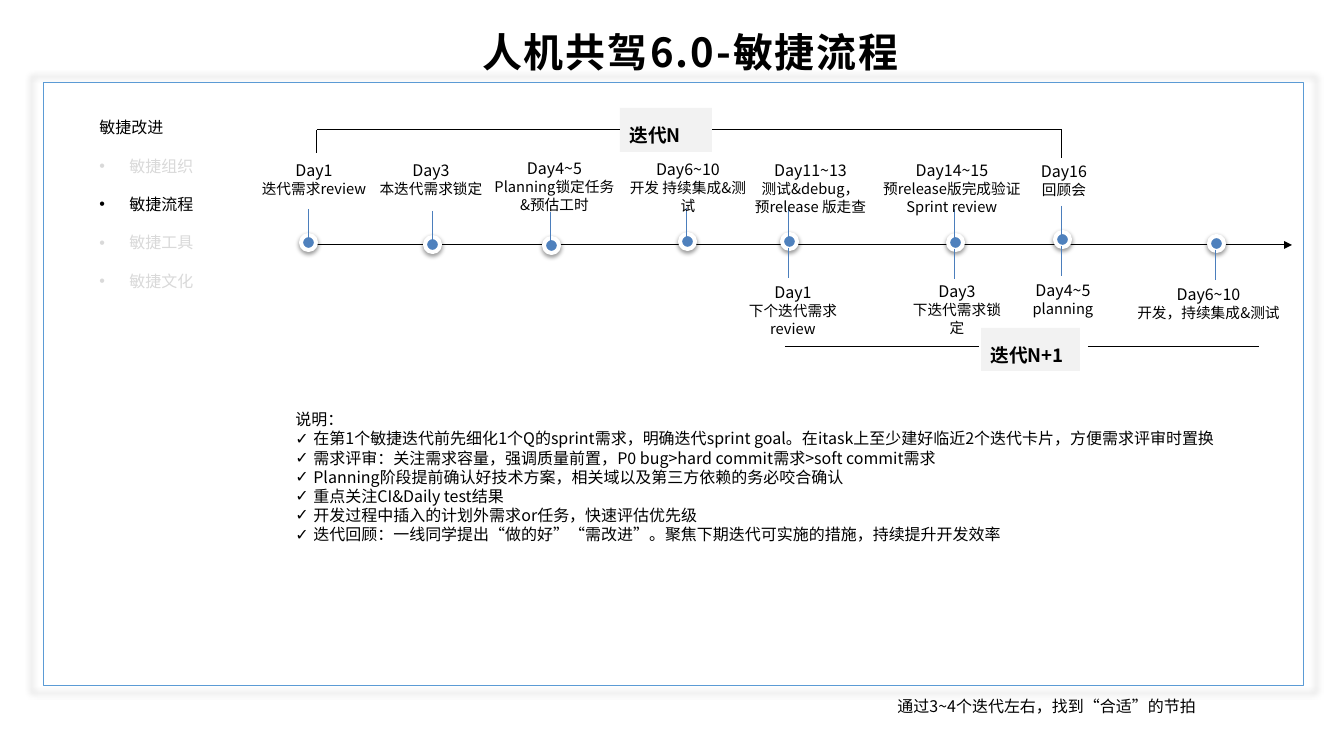
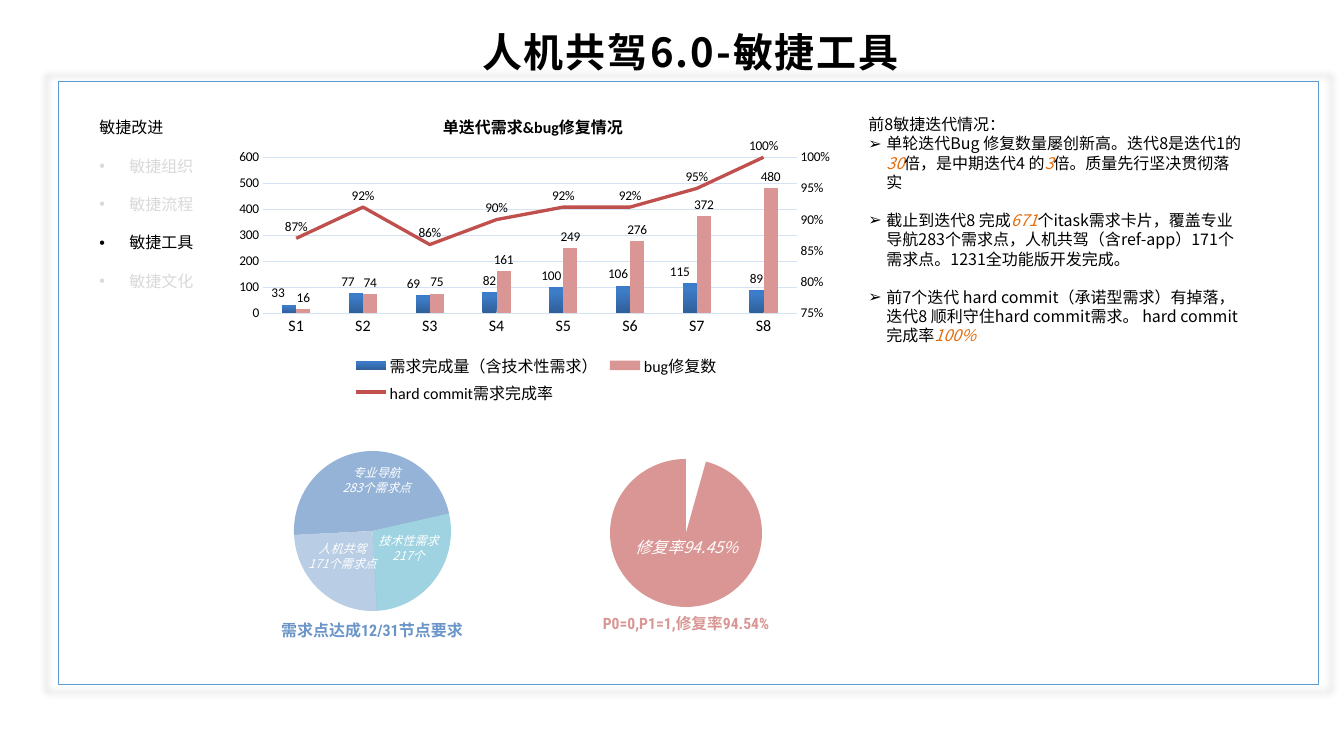
from copy import deepcopy
from dataclasses import dataclass, replace
from typing import NamedTuple

from lxml import etree
from pptx import Presentation
from pptx import util as u
from pptx.chart.data import CategoryChartData
from pptx.dml.color import RGBColor
from pptx.enum import chart as charts, shapes, text
from pptx.oxml import parse_xml
from pptx.oxml.ns import nsdecls, qn

EMU_PER_PX = 9525
COLORS = {
    "ink": "000000", "faded": "D9D9D9", "white": "FFFFFF", "frame": "5B9BD5", "tag": "F2F2F2",
    "dot": "4F81BD", "stem": "4B7EBC", "accent": "E46C0A", "grid": "D4E3F4", "rate": "C0504D",
    "bug": "D99694", "caption": "6B95C8", "navigation": "95B3D7", "codrive": "B9CDE5",
    "technical": "93CDDD", "bar_low": "2F5F99", "bar_mid": "3D7CC7", "bar_high": "3A7CCB",
}
MENU = ["敏捷组织", "敏捷流程", "敏捷工具", "敏捷文化"]
BLANK_LINE = 14.4


class Box(NamedTuple):
    left: int
    top: int
    width: int
    height: int


class Label(NamedTuple):
    box: Box
    lines: list[str]


class Dot(NamedTuple):
    left: int
    top: int
    up: bool = True
    down: bool = False


class Slice(NamedTuple):
    box: Box
    start: float
    end: float
    color: str
    alpha: int = 100


@dataclass(frozen=True)
class Style:
    size: float = 12
    color: str = "ink"
    bold: bool = False
    italic: bool = False
    font: str = "Noto Sans CJK SC"
    align: text.PP_ALIGN = text.PP_ALIGN.LEFT


BODY = Style()
CENTERED = Style(align=text.PP_ALIGN.CENTER)
DETAIL = replace(CENTERED, size=11)
TAG = Style(size=14, bold=True)
ON_PIE = replace(CENTERED, size=9, color="white", italic=True)


def px(length: float) -> u.Emu:
    return u.Emu(round(length * EMU_PER_PX))


def rgb(name: str) -> RGBColor:
    return RGBColor.from_string(COLORS[name])


def format_font(font, style: Style) -> None:
    font.size, font.bold, font.italic, font.name = u.Pt(style.size), style.bold, style.italic, style.font
    font.color.rgb = rgb(style.color)


def format_para(para, style: Style) -> None:
    para.alignment = style.align
    for span in para.runs:
        format_font(span.font, style)
        etree.SubElement(span.font._element, qn("a:ea"), typeface=style.font)


def add_bullet(para, mark: str, indent: int) -> None:
    props = para._p.get_or_add_pPr()
    props.set("marL", str(px(indent)))
    props.set("indent", str(-px(indent)))
    etree.SubElement(props, qn("a:buFont"), typeface="Arial")
    etree.SubElement(props, qn("a:buChar"), char=mark)


def write(shape, lines: list[str], *styles: Style, wrap: bool = True) -> list:
    frame = shape.text_frame
    frame.word_wrap = wrap
    frame.auto_size = text.MSO_AUTO_SIZE.SHAPE_TO_FIT_TEXT
    frame.vertical_anchor = text.MSO_ANCHOR.TOP
    frame.text = "\n".join(lines)
    for index, para in enumerate(frame.paragraphs):
        format_para(para, styles[min(index, len(styles) - 1)])
    return list(frame.paragraphs)


def add_text(page, box: Box, lines: list[str], *styles: Style, wrap: bool = True) -> list:
    return write(page.shapes.add_textbox(*map(px, box)), lines, *styles, wrap=wrap)


def add_block(parent, kind, box: Box, fill: str = "", line: str = "", weight: float = 0.75):
    shape = parent.add_shape(kind, *map(px, box))
    shape.shadow.inherit = False
    if fill:
        shape.fill.solid()
        shape.fill.fore_color.rgb = rgb(fill)
    else:
        shape.fill.background()
    if line:
        shape.line.color.rgb = rgb(line)
        shape.line.width = u.Pt(weight)
    else:
        shape.line.fill.background()
    return shape


def cast_shadow(shape, alpha: int, **settings) -> None:
    effects = shape._element.spPr.find(qn("a:effectLst"))
    shadow = etree.SubElement(effects, qn("a:outerShdw"), {k: str(v) for k, v in settings.items()})
    color = etree.SubElement(shadow, qn("a:srgbClr"), val=COLORS["ink"])
    etree.SubElement(color, qn("a:alpha"), val=str(alpha * 1000))


def add_line(page, x1: int, y1: int, x2: int, y2: int, color: str = "ink"):
    line = page.shapes.add_connector(shapes.MSO_CONNECTOR.STRAIGHT, *map(px, (x1, y1, x2, y2)))
    line.line.color.rgb = rgb(color)
    line.line.width = u.Pt(0.75)
    etree.SubElement(line._element.spPr, qn("a:effectLst"))
    return line


def add_page(deck, topic: str, left: int, top: int):
    page = deck.slides.add_slide(deck.slide_layouts[5])
    title = page.shapes.title
    title.left, title.top, title.width, title.height = map(px, Box(301, 23, 779, 59))
    heading = write(title, [f"人机共驾6.0-{topic}"], replace(CENTERED, size=30, bold=True))[0]
    heading.runs[0].font._element.set("spc", "150")
    frame = add_block(page.shapes, shapes.MSO_SHAPE.RECTANGLE, Box(left, top, 1260, 603), line="frame")
    cast_shadow(frame, 40, blurRad=u.Pt(5), sx=102000, sy=102000, algn="ctr", rotWithShape=0)
    styles = [BODY] + [replace(BODY, color="ink" if item == topic else "faded") for item in MENU]
    for para in add_text(page, Box(90, 113, 870, 204), ["敏捷改进", *MENU], *styles)[1:]:
        para.space_before = u.Pt(BLANK_LINE)
        add_bullet(para, "•", 30)
    return page


def add_dots(page, dots: list[Dot]) -> None:
    for dot in dots:
        shape = add_block(page.shapes, shapes.MSO_SHAPE.OVAL, Box(dot.left, dot.top, 15, 15), "dot", "white", 3)
        cast_shadow(shape, 38, blurRad=u.Pt(3.1), dist=u.Pt(1.6), dir=5400000, rotWithShape=0)
    for dot in dots:
        starts = [dot.top - 26] * dot.up + [dot.top + 14] * dot.down
        for start in starts:
            add_line(page, dot.left + 7, start, dot.left + 7, start + 30, "stem")


def add_tag(page, box: Box, name: str, wrap: bool):
    tag = add_block(page.shapes, shapes.MSO_SHAPE.RECTANGLE, box, "tag")
    write(tag, [name], TAG, wrap=wrap)[0].line_spacing = 1.5
    return tag


def build_process(deck) -> None:
    page = add_page(deck, "敏捷流程", 44, 83)
    add_text(page, Box(888, 692, 450, 29), ["通过3~4个迭代左右，找到“合适”的节拍"], BODY)
    notes = [
        "说明：",
        "在第1个敏捷迭代前先细化1个Q的sprint需求，明确迭代sprint goal。在itask上至少建好临近2个迭代卡片，方便需求评审时置换",
        "需求评审：关注需求容量，强调质量前置，P0 bug>hard commit需求>soft commit需求",
        "Planning阶段提前确认好技术方案，相关域以及第三方依赖的务必咬合确认",
        "重点关注CI&Daily test结果",
        "开发过程中插入的计划外需求or任务，快速评估优先级",
        "迭代回顾：一线同学提出“做的好”“需改进”。聚焦下期迭代可实施的措施，持续提升开发效率",
    ]
    for para in add_text(page, Box(286, 405, 952, 145), notes, BODY)[1:]:
        add_bullet(para, "✓", 18)

    axis = add_line(page, 301, 245, 1292, 245)
    etree.SubElement(axis.line._get_or_add_ln(), qn("a:tailEnd"), type="triangle")
    add_dots(page, [
        Dot(301, 235), Dot(425, 237), Dot(544, 238), Dot(680, 234), Dot(782, 234, down=True),
        Dot(948, 235, down=True), Dot(1055, 232, down=True), Dot(1209, 236, up=False, down=True),
    ])

    current = add_tag(page, Box(620, 108, 92, 44), "迭代N", True)
    for corner, side, leg in ((317, 1, 153), (1062, 3, 158)):
        add_line(page, corner, 130, 666, 130).end_connect(current, side)
        add_line(page, corner, 130, corner, leg)
    add_tag(page, Box(981, 328, 99, 43), "迭代N+1", False)
    for start, end in ((785, 979), (1088, 1259)):
        add_line(page, start, 347, end, 347)

    labels = [
        Label(Box(229, 156, 170, 48), ["Day1", "迭代需求review"]),
        Label(Box(362, 156, 138, 48), ["Day3", "本迭代需求锁定"]),
        Label(Box(461, 154, 187, 64), ["Day4~5", "Planning锁定任务", "&预估工时"]),
        Label(Box(618, 155, 140, 64), ["Day6~10", "开发 持续集成&测试"]),
        Label(Box(733, 156, 155, 64), ["Day11~13", "测试&debug，", "预release 版走查"]),
        Label(Box(858, 156, 188, 64), ["Day14~15", "预release版完成验证", "Sprint review"]),
        Label(Box(1001, 157, 126, 48), ["Day16", "回顾会"]),
        Label(Box(733, 278, 120, 64), ["Day1", "下个迭代需求review"]),
        Label(Box(898, 277, 118, 64), ["Day3", "下迭代需求锁定"]),
        Label(Box(1000, 276, 126, 48), ["Day4~5", "planning"]),
        Label(Box(1118, 280, 181, 48), ["Day6~10", "开发，持续集成&测试"]),
    ]
    for label in labels:
        add_text(page, label.box, label.lines, CENTERED, DETAIL)


def set_layout(parent, position: int, **values) -> None:
    items = "".join(f'<c:{key} val="{value}"/>' for key, value in values.items())
    for old in parent.findall(qn("c:layout")):
        parent.remove(old)
    parent.insert(position, parse_xml(
        f'<c:layout {nsdecls("c")}><c:manualLayout>{items}</c:manualLayout></c:layout>'))


def move_to_right_axis(chart) -> None:
    plot_area = chart._chartSpace.chart.plotArea
    bars = plot_area.find(qn("c:barChart"))
    rate = bars.findall(qn("c:ser"))[-1]
    for flag in rate.findall(qn("c:invertIfNegative")):
        rate.remove(flag)
    lines = parse_xml(
        f'<c:lineChart {nsdecls("c")}><c:grouping val="standard"/><c:varyColors val="0"/>'
        '<c:marker val="1"/><c:axId val="5001"/><c:axId val="5002"/></c:lineChart>')
    lines.insert(2, rate)
    bars.addnext(lines)
    head = ('<c:{0} {1}><c:axId val="{2}"/><c:scaling><c:orientation val="minMax"/>{3}</c:scaling>'
            '<c:delete val="{4}"/><c:axPos val="{5}"/>{6}<c:majorTickMark val="none"/>'
            '<c:minorTickMark val="none"/><c:tickLblPos val="nextTo"/>{7}'
            '<c:crossAx val="{8}"/><c:crosses val="{9}"/>{10}</c:{0}>')
    right = head.format("valAx", nsdecls("c", "a"), 5002, '<c:max val="1"/><c:min val="0.75"/>', 0, "r",
                        '<c:numFmt formatCode="0%" sourceLinked="0"/>',
                        "<c:spPr><a:ln><a:noFill/></a:ln></c:spPr>", 5001, "max",
                        '<c:crossBetween val="between"/><c:majorUnit val="0.05"/>')
    hidden = head.format("catAx", nsdecls("c", "a"), 5001, "", 1, "b", "", "", 5002, "autoZero", "")
    last = plot_area.findall(qn("c:valAx"))[-1]
    last.addnext(parse_xml(hidden))
    last.addnext(parse_xml(right))


def add_sprint_chart(page) -> None:
    data = CategoryChartData()
    data.categories = [f"S{number}" for number in range(1, 9)]
    data.add_series("需求完成量（含技术性需求）", [33, 77, 69, 82, 100, 106, 115, 89])
    data.add_series("bug修复数", [16, 74, 75, 161, 249, 276, 372, 480])
    data.add_series("hard commit需求完成率", [0.87, 0.92, 0.86, 0.9, 0.92, 0.92, 0.95, 1], "0%")
    box = Box(226, 98, 614, 312)
    chart = page.shapes.add_chart(charts.XL_CHART_TYPE.COLUMN_CLUSTERED, *map(px, box), data).chart
    small = Style(size=10, font="Calibri")
    large = replace(small, size=12)
    format_font(chart.font, small)

    chart.has_title = True
    chart.chart_title.text_frame.text = "单迭代需求&bug修复情况"
    format_font(chart.chart_title.text_frame.paragraphs[0].runs[0].font, replace(large, bold=True))
    chart.has_legend = True
    chart.legend.position = charts.XL_LEGEND_POSITION.BOTTOM
    chart.legend.include_in_layout = False
    format_font(chart.legend.font, large)
    set_layout(chart.legend._element, 1, xMode="edge", yMode="edge", x=0.2, y=0.81, w=0.61, h=0.18)
    set_layout(chart._chartSpace.chart.plotArea, 0, layoutTarget="inner", xMode="edge", yMode="edge",
               x=0.06, y=0.19, w=0.87, h=0.5)

    categories, amounts = chart.category_axis, chart.value_axis
    for axis, style in ((categories, large), (amounts, small)):
        axis.major_tick_mark = charts.XL_TICK_MARK.NONE
        format_font(axis.tick_labels.font, style)
    amounts.maximum_scale, amounts.minimum_scale, amounts.major_unit = 600, 0, 100
    amounts.format.line.fill.background()
    for line in (categories.format.line, amounts.major_gridlines.format.line):
        line.color.rgb = rgb("grid")
        line.width = u.Pt(0.75)

    move_to_right_axis(chart)
    bars, lines = chart.plots
    bars.gap_width, bars.overlap, bars.vary_by_categories = 269, 0, False
    done, fixed = bars.series
    rate = lines.series[0]
    fill = done.format.fill
    fill.gradient()
    fill.gradient_angle = 90
    stops = done._element.find(".//" + qn("a:gsLst"))
    stops.append(deepcopy(stops[-1]))
    for stop, (position, color) in zip(fill.gradient_stops, ((0, "bar_low"), (0.8, "bar_mid"), (1, "bar_high"))):
        stop.position = position
        stop.color.rgb = rgb(color)
    fixed.format.fill.solid()
    fixed.format.fill.fore_color.rgb = rgb("bug")
    rate.format.line.color.rgb = rgb("rate")
    rate.format.line.width = u.Pt(2.5)
    rate.marker.style = charts.XL_MARKER_STYLE.NONE
    rate.smooth = False

    outside, above = charts.XL_LABEL_POSITION.OUTSIDE_END, charts.XL_LABEL_POSITION.ABOVE
    for series, position, code in ((done, outside, "0"), (fixed, outside, "0"), (rate, above, "0%")):
        labels = series.data_labels
        labels.show_value = True
        labels.position = position
        labels.number_format, labels.number_format_is_linked = code, False
        format_font(labels.font, small)
    for index, shift in {0: -11, 1: -8, 2: -9, 4: -5, 5: -5, 6: -10}.items():
        label = done.points[index].data_label
        label.position = outside
        format_font(label.font, small)
        mark = done._element.findall(".//" + qn("c:dLbl"))[-1]
        set_layout(mark, 1, x=round(shift / box.width, 3), y=0)


def add_findings(page) -> None:
    findings = [
        "单轮迭代Bug 修复数量屡创新高。迭代8是迭代1的*30*倍，是中期迭代4 的*3*倍。质量先行坚决贯彻落实",
        "截止到迭代8 完成*671*个itask需求卡片，覆盖专业导航283个需求点，人机共驾（含ref-app）171个需求点。1231全功能版开发完成。",
        "前7个迭代 hard commit（承诺型需求）有掉落，迭代8 顺利守住hard commit需求。 hard commit 完成率*100%*",
    ]
    paras = add_text(page, Box(859, 110, 395, 242), ["前8敏捷迭代情况：", *findings], BODY)
    for index, (para, finding) in enumerate(zip(paras[1:], findings)):
        para.text = ""
        add_bullet(para, "➢", 18)
        para.space_before = u.Pt(BLANK_LINE if index else 0)
        for part in filter(None, finding.split("*")):
            para.add_run().text = part
        format_para(para, BODY)
        for span in para.runs[1::2]:
            span.font.color.rgb = rgb("accent")
            span.font.italic = True


def add_slice(parent, part: Slice) -> None:
    shape = add_block(parent, shapes.MSO_SHAPE.PIE, part.box, part.color)
    for index, degrees in enumerate((part.start, part.end)):
        shape.adjustments[index] = degrees * 0.6
    shape._element.spPr.find(qn("a:xfrm")).set("flipH", "1")
    if part.alpha < 100:
        color = shape._element.spPr.find(qn("a:solidFill"))[0]
        etree.SubElement(color, qn("a:alpha"), val=str(part.alpha * 1000))


def build_tools(deck) -> None:
    page = add_page(deck, "敏捷工具", 59, 82)
    add_findings(page)
    add_sprint_chart(page)
    captions = [
        (Box(591, 611, 190, 24), "P0=0,P1=1,修复率94.54%", 11.7, "bug"),
        (Box(277, 617, 190, 26), "需求点达成12/31节点要求", 12, "caption"),
    ]
    for box, words, size, color in captions:
        style = replace(CENTERED, size=size, color=color, bold=True, font="Roboto Condensed")
        caption = page.shapes.add_textbox(*map(px, box))
        write(caption, [words], style, wrap=False)
        frame = caption.text_frame
        frame.auto_size = text.MSO_AUTO_SIZE.NONE
        frame.vertical_anchor = text.MSO_ANCHOR.MIDDLE
        frame.margin_left = frame.margin_top = frame.margin_right = frame.margin_bottom = 0

    demand = Box(294, 451, 157, 160)
    demand_pie = page.shapes.add_group_shape().shapes
    for part in (Slice(demand, 192.71, 3, "navigation"), Slice(demand, 2.83, 93.75, "codrive"),
                 Slice(demand, 93.1, 193.12, "technical", 87)):
        add_slice(demand_pie, part)
    add_slice(page.shapes, Slice(Box(610, 459, 152, 148), 270, 254.38, "bug"))
    for label in (Label(Box(274, 461, 205, 38), ["专业导航", "283个需求点"]),
                  Label(Box(290, 537, 105, 38), ["人机共驾", "171个需求点"]),
                  Label(Box(306, 529, 205, 38), ["技术性需求", "217个"])):
        add_text(page, label.box, label.lines, ON_PIE)
    add_text(page, Box(584, 533, 205, 29), ["修复率94.45%"], replace(ON_PIE, size=12))


def main() -> None:
    deck = Presentation()
    deck.slide_width, deck.slide_height = px(1344), px(756)
    build_process(deck)
    build_tools(deck)
    deck.save("out.pptx")


if __name__ == "__main__":
    main()
